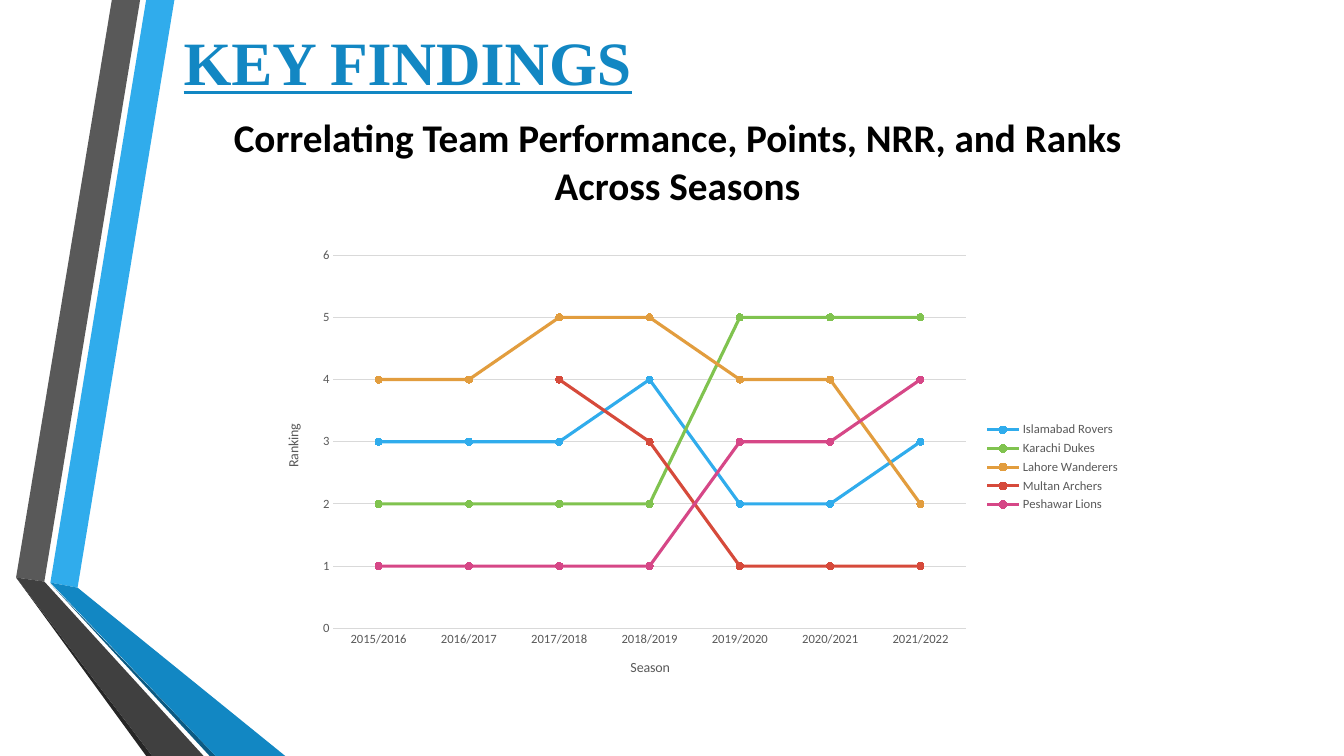
from dataclasses import dataclass

from lxml import etree
from pptx import Presentation
from pptx import util as u
from pptx.chart import data as cd
from pptx.dml.color import RGBColor
from pptx.enum import chart as ce
from pptx.enum import text as te
from pptx.oxml import ns


@dataclass(frozen=True)
class Theme:
    serif: str = "Times New Roman"
    sans: str = "Calibri"
    black: str = "000000"
    blue: str = "1287C3"
    gray: str = "595959"
    rule: str = "D9D9D9"
    head: int = 44
    sub: int = 28
    name: int = 10
    label: int = 9


@dataclass(frozen=True)
class Band:
    color: str
    points: tuple[tuple[float, float], ...]


@dataclass(frozen=True)
class Team:
    name: str
    color: str
    ranks: tuple[int | None, ...]


@dataclass(frozen=True)
class Style:
    face: str
    size: int
    color: str
    bold: bool = False
    under: bool = False


THEME = Theme()
HEAD = Style(THEME.serif, THEME.head, THEME.blue, True, True)
SUB = Style(THEME.sans, THEME.sub, THEME.black, True)
NAME = Style(THEME.sans, THEME.name, THEME.gray)
LABEL = Style(THEME.sans, THEME.label, THEME.gray)

BANDS = (
    Band("30ACEC", ((0.5, 5.78), (0.77, 5.83), (1.73, 0), (1.45, 0))),
    Band("595959", ((1.39, 0), (1.11, 0), (0.16, 5.73), (0.44, 5.77))),
    Band("262626", ((0.16, 5.73), (1.45, 7.5), (1.51, 7.5))),
    Band("0C5A82", ((0.5, 5.79), (2.08, 7.5), (2.14, 7.5))),
    Band("1287C3", ((0.5, 5.78), (2.14, 7.5), (2.83, 7.5), (0.77, 5.83))),
    Band("404040", ((2.02, 7.5), (0.44, 5.77), (0.16, 5.73), (1.51, 7.5))),
)
SEASONS = [f"{year}/{year + 1}" for year in range(2015, 2022)]
TEAMS = (
    Team("Islamabad Rovers", "30ACEC", (3, 3, 3, 4, 2, 2, 3)),
    Team("Karachi Dukes", "80C34F", (2, 2, 2, 2, 5, 5, 5)),
    Team("Lahore Wanderers", "E29D3E", (4, 4, 5, 5, 4, 4, 2)),
    Team("Multan Archers", "D64A3B", (None, None, 4, 3, 1, 1, 1)),
    Team("Peshawar Lions", "D64787", (1, 1, 1, 1, 3, 3, 4)),
)


def rgb(color: str) -> RGBColor:
    return RGBColor.from_string(color)


def box(*sides: float) -> list[int]:
    return [u.Inches(side) for side in sides]


def dress(font, style: Style) -> None:
    font.name = style.face
    font.size = u.Pt(style.size)
    font.bold = style.bold
    font.underline = style.under
    font.color.rgb = rgb(style.color)


def stroke(line, color: str, width: float) -> None:
    line.color.rgb = rgb(color)
    line.width = u.Pt(width)


def write(frame, words: str, style: Style, align) -> None:
    frame.word_wrap = True
    frame.auto_size = te.MSO_AUTO_SIZE.NONE
    frame.vertical_anchor = te.MSO_ANCHOR.TOP
    para = frame.paragraphs[0]
    para.alignment = align
    run = para.add_run()
    run.text = words
    dress(run.font, style)


def draw_band(slide, band: Band) -> None:
    first, *rest = [box(*point) for point in band.points]
    pen = slide.shapes.build_freeform(*first)
    pen.add_line_segments(rest, close=True)
    shape = pen.convert_to_shape()
    shape.shadow.inherit = False
    shape.fill.solid()
    shape.fill.fore_color.rgb = rgb(band.color)
    shape.line.fill.background()


def place(part, spot: int, **sizes: float | str) -> None:
    for old in part.findall(ns.qn("c:layout")):
        part.remove(old)
    layout = etree.Element(ns.qn("c:layout"))
    manual = etree.SubElement(layout, ns.qn("c:manualLayout"))
    for key, value in sizes.items():
        etree.SubElement(manual, ns.qn(f"c:{key}")).set("val", str(value))
    part.insert(spot, layout)


def set_axis(axis, name: str, left: float, top: float, turn: int) -> None:
    axis.major_tick_mark = axis.minor_tick_mark = ce.XL_TICK_MARK.NONE
    dress(axis.tick_labels.font, LABEL)
    title = axis.axis_title
    run = title.text_frame.paragraphs[0].add_run()
    run.text = name
    dress(run.font, NAME)
    part = title._element
    part.find(".//" + ns.qn("a:bodyPr")).set("rot", str(turn))
    place(part, 1, xMode="edge", yMode="edge", x=left, y=top)


def draw_chart(slide) -> None:
    data = cd.CategoryChartData()
    data.categories = SEASONS
    for team in TEAMS:
        data.add_series(team.name, team.ranks)
    kind = ce.XL_CHART_TYPE.LINE_MARKERS
    frame = slide.shapes.add_chart(kind, *box(2.62, 2.35, 8.59, 4.57), data)
    chart = frame.chart
    chart.has_title = False
    dress(chart.font, NAME)
    chart.has_legend = True
    chart.legend.position = ce.XL_LEGEND_POSITION.RIGHT
    chart.legend.include_in_layout = False
    dress(chart.legend.font, LABEL)
    plot = chart.plots[0]
    plot.vary_by_categories = False
    for series, team in zip(plot.series, TEAMS):
        series.smooth = False
        stroke(series.format.line, team.color, 2.25)
        mark = series.marker
        mark.style = ce.XL_MARKER_STYLE.CIRCLE
        mark.size = 5
        mark.format.fill.solid()
        mark.format.fill.fore_color.rgb = rgb(team.color)
        stroke(mark.format.line, team.color, 0.75)
    across, up = chart.category_axis, chart.value_axis
    set_axis(across, "Season", 0.42, 0.91, 0)
    set_axis(up, "Ranking", 0.02, 0.4, -5400000)
    stroke(across.format.line, THEME.rule, 0.75)
    up.format.line.fill.background()
    up.minimum_scale, up.maximum_scale, up.major_unit = 0, 6, 1
    up.has_major_gridlines = True
    stroke(up.major_gridlines.format.line, THEME.rule, 0.75)
    area = chart._chartSpace.find(".//" + ns.qn("c:plotArea"))
    place(area, 0, layoutTarget="inner", xMode="edge", yMode="edge",
          x=0.08, y=0.04, w=0.73, h=0.81)


def main() -> None:
    deck = Presentation()
    deck.slide_width, deck.slide_height = box(13.33, 7.5)
    slide = deck.slides.add_slide(deck.slide_layouts[5])
    for band in BANDS:
        draw_band(slide, band)
    sub = slide.shapes.add_textbox(*box(1.8, 1.08, 9.84, 1.04))
    write(sub.text_frame,
          "Correlating Team Performance, Points, NRR, and Ranks Across Seasons",
          SUB, te.PP_ALIGN.CENTER)
    title = slide.shapes.title
    title.left, title.top, title.width, title.height = box(1.72, 0.19, 9.79, 0.84)
    write(title.text_frame, "KEY FINDINGS", HEAD, te.PP_ALIGN.LEFT)
    draw_chart(slide)
    deck.save("out.pptx")


if __name__ == "__main__":
    main()
